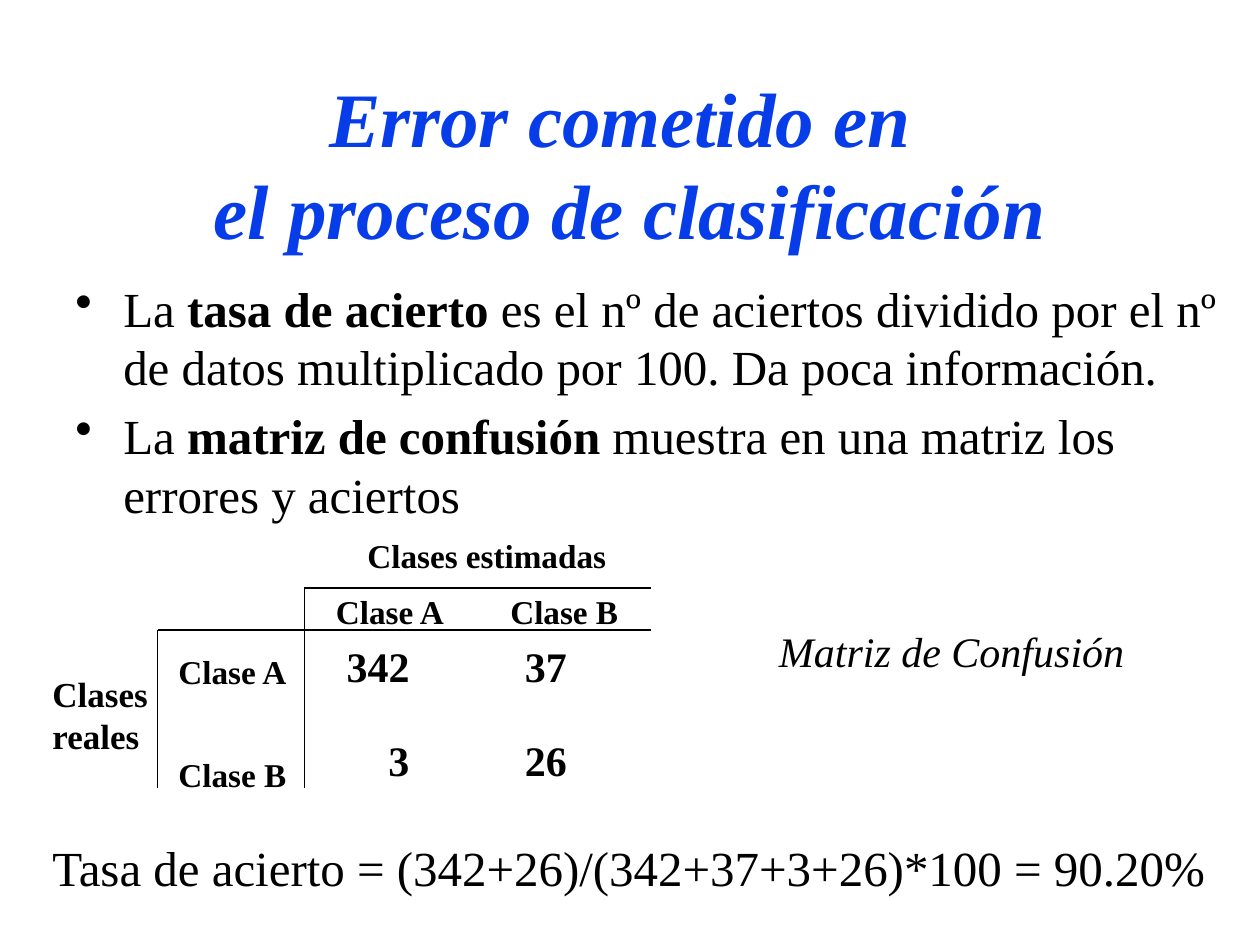
from lxml import etree
from pptx import Presentation
from pptx.dml.color import RGBColor
from pptx.enum.shapes import MSO_CONNECTOR as Connector
from pptx.enum.text import MSO_ANCHOR as Anchor, PP_ALIGN as Align
from pptx.oxml.ns import qn
from pptx.util import Inches, Pt

COLORS = {"ink": "000000", "title": "063DE8"}
FONT = "Times New Roman"
UNIT = 1 / 12  # grid step in inches: 120 columns by 90 rows


def grid(steps):
    return Inches(steps * UNIT)


def add_text(paragraph, text, size=28, color="ink", bold=False, italic=False):
    """Add runs to a paragraph, with a line break at each newline."""
    for number, line in enumerate(text.split("\n")):
        if number:
            paragraph.add_line_break()
        run = paragraph.add_run()
        run.text = line
        font = run.font
        font.name, font.size, font.bold, font.italic = FONT, Pt(size), bold, italic
        font.color.rgb = RGBColor.from_string(COLORS[color])


class SlideBuilder:
    def __init__(self, slide):
        self.slide = slide

    def frame(self, col, row, cols, rows, wrap=False, inset=True):
        box = self.slide.shapes.add_textbox(*map(grid, (col, row, cols, rows)))
        frame = box.text_frame
        frame.word_wrap = wrap
        if not inset:
            frame.margin_left = frame.margin_right = 0
            frame.margin_top = frame.margin_bottom = 0
        return frame

    def title(self, text, *area):
        frame = self.frame(*area, wrap=True)
        frame.vertical_anchor = Anchor.MIDDLE
        paragraph = frame.paragraphs[0]
        paragraph.alignment = Align.CENTER
        add_text(paragraph, text, size=44, color="title", bold=True, italic=True)

    def bullets(self, items, *area):
        frame = self.frame(*area, wrap=True)
        for number, (start, term, rest) in enumerate(items):
            paragraph = frame.add_paragraph() if number else frame.paragraphs[0]
            if number:
                paragraph.space_before = Pt(5.6)
            properties = paragraph._p.get_or_add_pPr()
            properties.set("marL", str(Inches(0.38)))
            properties.set("indent", str(-Inches(0.38)))
            etree.SubElement(properties, qn("a:buChar"), char="•")
            add_text(paragraph, start)
            add_text(paragraph, term, bold=True)
            add_text(paragraph, rest)

    def label(self, text, *area, size=19, align=Align.LEFT):
        frame = self.frame(*area, inset=False)
        for number, line in enumerate(text.split("\n")):
            paragraph = frame.add_paragraph() if number else frame.paragraphs[0]
            paragraph.alignment = align
            add_text(paragraph, line, size=size, bold=True)

    def note(self, text, *area, wrap=False, **style):
        add_text(self.frame(*area, wrap=wrap).paragraphs[0], text, **style)

    def rule(self, *ends):
        line = self.slide.shapes.add_connector(Connector.STRAIGHT, *map(grid, ends))
        line.line.width = Pt(1)
        line.line.color.rgb = RGBColor.from_string(COLORS["ink"])
        etree.SubElement(line._element.spPr, qn("a:effectLst"))


def main():
    deck = Presentation()
    deck.slide_width, deck.slide_height = grid(120), grid(90)
    page = SlideBuilder(deck.slides.add_slide(deck.slide_layouts[6]))

    # Heading and definitions
    page.title("Error cometido en \nel proceso de clasificación", 9, 8, 102, 15)
    page.bullets([
        ("La ", "tasa de acierto ", "es el nº de aciertos dividido por el nº "
         "de datos multiplicado por 100. Da poca información."),
        ("La ", "matriz de confusión ", "muestra en una matriz los errores y aciertos"),
    ], 6, 25.9, 111.2, 54)

    # Confusion matrix: headings
    page.label("Clases estimadas", 35, 51, 22.8, 3.8)
    page.label("Clases\nreales", 5, 64, 9.8, 8, size=20)
    for name, col in (("Clase A", 32), ("Clase B", 48.6)):
        page.label(name, col, 56.3, 10.4, 3.8)
    for name, row in (("Clase A", 62), ("Clase B", 71.8)):
        page.label(name, 17, row, 10.4, 3.8)

    # Confusion matrix: counts
    for row, counts in ((61, ("342", "37")), (70, ("3", "26"))):
        for count, (col, cols) in zip(counts, ((33, 6), (50, 4))):
            page.label(count, col, row, cols, 4.8, size=24, align=Align.RIGHT)

    # Confusion matrix: rules
    left, middle, right = 15, 29, 62
    top, header, bottom = 56, 60, 75
    for col, row in ((middle, top), (left, header)):
        page.rule(col, row, col, bottom)
        page.rule(col, row, right, row)

    # Caption and result
    page.note("Matriz de Confusión", 73, 59, 39, 6, wrap=True, size=24, italic=True)
    page.note("Tasa de acierto = (342+26)/(342+37+3+26)*100 = 90.20%",
              3.8, 79.2, 113.4, 6.8)

    deck.save("out.pptx")


if __name__ == "__main__":
    main()
